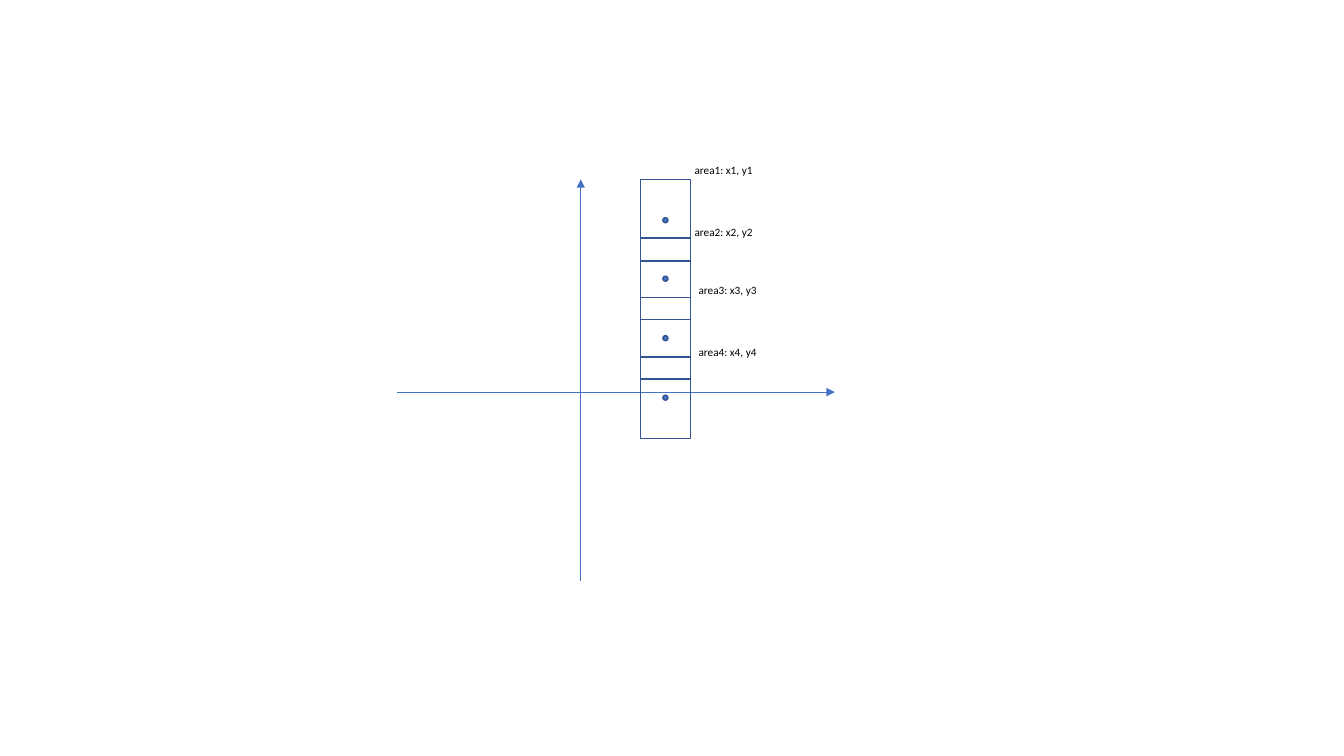
import pptx
import pptx.dml.color
import pptx.enum.shapes
import pptx.enum.text
import pptx.oxml
import pptx.oxml.ns
import pptx.util
from pptx.util import Inches

BLUE = "4472C4"
DARK_BLUE = "325491"
BLACK = "000000"

BOX_LEFT, BOX_WIDTH, BOX_HEIGHT = 6.35, 0.5, 0.81
DOT_SIZE = 0.05
LABEL_WIDTH, LABEL_HEIGHT = 0.78, 0.24

AREAS = [
    ("area1: x1, y1", 1.78, 6.79, 1.57),
    ("area2: x2, y2", 2.36, 6.79, 2.19),
    ("area3: x3, y3", 2.95, 6.83, 2.76),
    ("area4: x4, y4", 3.54, 6.83, 3.38),
]


def color(hex_string):
    return pptx.dml.color.RGBColor.from_string(hex_string)


def add_axis(slide, start, end):
    axis = slide.shapes.add_connector(
        pptx.enum.shapes.MSO_CONNECTOR.STRAIGHT,
        *(Inches(value) for value in start + end),
    )
    axis.line.color.rgb = color(BLUE)
    axis.line.width = pptx.util.Pt(0.5)
    arrowhead = pptx.oxml.parse_xml(
        f'<a:tailEnd {pptx.oxml.ns.nsdecls("a")} type="triangle"/>'
    )
    axis.line._get_or_add_ln().append(arrowhead)
    no_effects = pptx.oxml.parse_xml(f'<a:effectLst {pptx.oxml.ns.nsdecls("a")}/>')
    axis._element.spPr.append(no_effects)


def add_outlined_shape(group, kind, left, top, width, height, fill=None):
    shape = group.shapes.add_shape(
        kind, Inches(left), Inches(top), Inches(width), Inches(height)
    )
    shape.shadow.inherit = False
    if fill:
        shape.fill.solid()
        shape.fill.fore_color.rgb = color(fill)
    else:
        shape.fill.background()
    shape.line.color.rgb = color(DARK_BLUE)
    shape.line.width = pptx.util.Pt(1)


def add_area(slide, top):
    group = slide.shapes.add_group_shape()
    shapes = pptx.enum.shapes.MSO_SHAPE
    add_outlined_shape(group, shapes.RECTANGLE, BOX_LEFT, top, BOX_WIDTH, BOX_HEIGHT)
    dot_left = BOX_LEFT + (BOX_WIDTH - DOT_SIZE) / 2
    dot_top = top + (BOX_HEIGHT - DOT_SIZE) / 2
    add_outlined_shape(group, shapes.OVAL, dot_left, dot_top, DOT_SIZE, DOT_SIZE, BLUE)


def add_label(slide, text, left, top):
    label = slide.shapes.add_textbox(
        Inches(left), Inches(top), Inches(LABEL_WIDTH), Inches(LABEL_HEIGHT)
    )
    text_frame = label.text_frame
    text_frame.text = text
    text_frame.word_wrap = False
    text_frame.auto_size = pptx.enum.text.MSO_AUTO_SIZE.SHAPE_TO_FIT_TEXT
    font = text_frame.paragraphs[0].runs[0].font
    font.name = "Calibri"
    font.size = pptx.util.Pt(8)
    font.color.rgb = color(BLACK)


def main():
    presentation = pptx.Presentation()
    presentation.slide_width = Inches(13.33)
    presentation.slide_height = Inches(7.5)
    slide = presentation.slides.add_slide(presentation.slide_layouts[6])

    add_axis(slide, (3.94, 3.89), (8.28, 3.89))
    add_axis(slide, (5.76, 5.76), (5.76, 1.78))
    for _, box_top, _, _ in AREAS:
        add_area(slide, box_top)
    for text, _, label_left, label_top in AREAS:
        add_label(slide, text, label_left, label_top)

    presentation.save("out.pptx")


if __name__ == "__main__":
    main()
